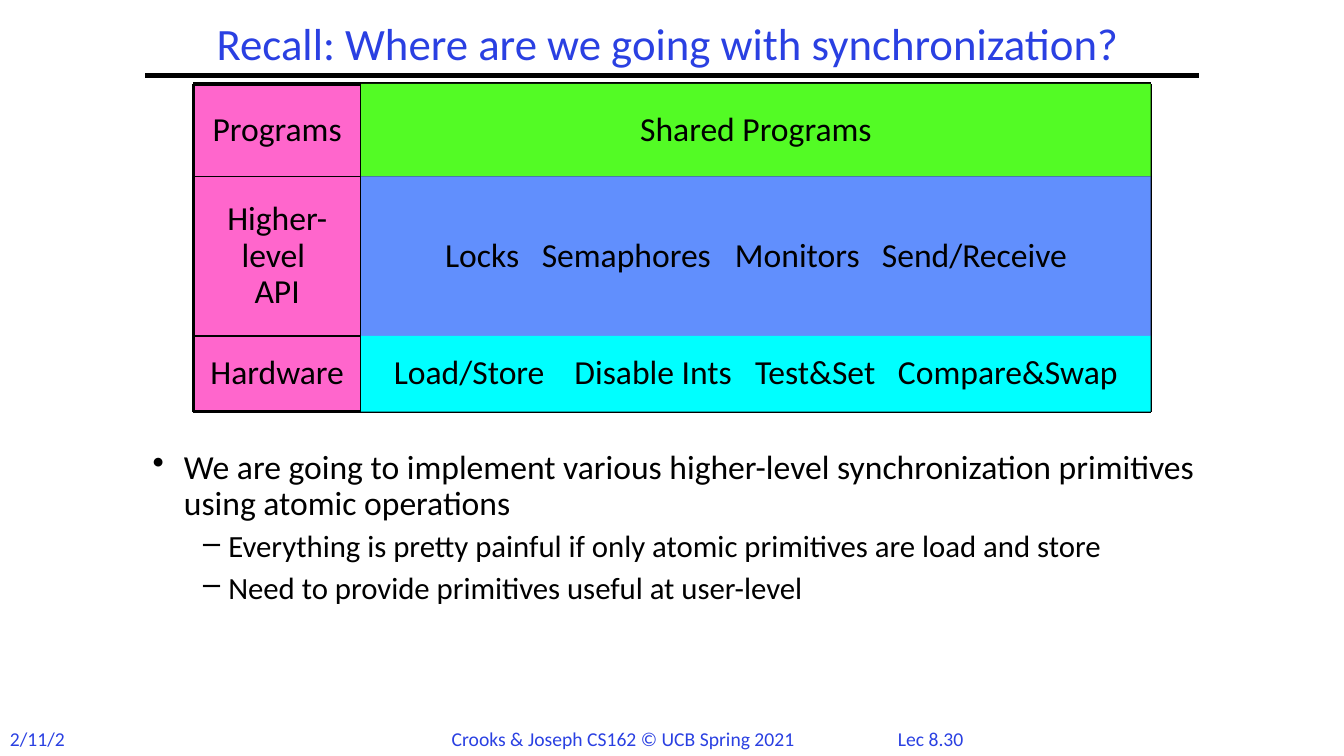
import pptx
import pptx.dml.color
import pptx.enum.shapes
import pptx.enum.text
import pptx.oxml
import pptx.oxml.ns
import pptx.util

COLORS = {"ink": "000000", "blue": "2A40E2", "label": "FF66CC",
          "programs": "53FB25", "api": "618FFD", "hardware": "00FFFF"}
ALIGN = pptx.enum.text.PP_ALIGN
ANCHOR = pptx.enum.text.MSO_ANCHOR

deck = pptx.Presentation()
deck.slide_width = pptx.util.Inches(13.333)
deck.slide_height = pptx.util.Inches(7.5)
UNIT = deck.slide_width / 160  # the slide is a grid of 160 columns and 90 rows
page = deck.slides.add_slide(deck.slide_layouts[6])


def add_box(left, top, right, bottom, text, size, color="ink", fill=None,
            align=ALIGN.CENTER, anchor=ANCHOR.MIDDLE):
    """Add text in a grid area, as a filled rectangle if a fill is named."""
    area = [round(n * UNIT) for n in (left, top, right - left, bottom - top)]
    if fill:
        box = page.shapes.add_shape(pptx.enum.shapes.MSO_SHAPE.RECTANGLE, *area)
        box.shadow.inherit = False
        box.fill.solid()
        box.fill.fore_color.rgb = pptx.dml.color.RGBColor.from_string(COLORS[fill])
        box.line.fill.background()
    else:
        box = page.shapes.add_textbox(*area)
    frame = box.text_frame
    frame.word_wrap = True
    frame.vertical_anchor = anchor
    frame.text = text
    for para in frame.paragraphs:
        para.alignment = align
        para.line_spacing = 0.9
        for span in para.runs:
            span.font.name = "Calibri"
            span.font.size = pptx.util.Pt(size)
            span.font.color.rgb = pptx.dml.color.RGBColor.from_string(COLORS[color])
    return box


def add_rule(left, top, right, bottom, width):
    ends = [round(n * UNIT) for n in (left, top, right, bottom)]
    rule = page.shapes.add_connector(pptx.enum.shapes.MSO_CONNECTOR.STRAIGHT, *ends)
    rule.line.width = pptx.util.Pt(width)
    rule.line.color.rgb = pptx.dml.color.RGBColor.from_string(COLORS["ink"])
    rule._element.spPr.append(pptx.oxml.parse_xml(
        f'<a:effectLst {pptx.oxml.ns.nsdecls("a")}/>'))


# Title and footer
add_rule(17.3, 9, 142.7, 9, 3)
add_box(13, 2, 146, 9, "Recall: Where are we going with synchronization?", 32, "blue")
for left, right, text, align in [
        (105, 116.6, "Lec 8.30", ALIGN.CENTER),
        (0, 9.6, "2/11/21", ALIGN.LEFT),
        (52.6, 97.7, "Crooks & Joseph CS162 © UCB Spring 2021", ALIGN.LEFT)]:
    footer = add_box(left, 85.9, right, 90, text, 14, "blue", align=align, anchor=ANCHOR.TOP)
    footer.text_frame.paragraphs[0].line_spacing = 1

# Layer diagram: labels, then rules, then the panels on top
COLUMNS = [23, 43, 137]
ROWS = [10, 21, 40, 49]
labels = ["Programs", "Higher-level \vAPI", "Hardware"]
# Each panel holds words and the grid columns where they start
panels = [
    ("programs", ["Shared Programs"], None),
    ("api", ["Locks", "Semaphores", "Monitors", "Send/Receive"], [53, 64.5, 87.5, 105]),
    ("hardware", ["Load/Store", "Disable Ints", "Test&Set", "Compare&Swap"],
     [46.9, 68.4, 89.9, 106.9]),
]
for label, top, bottom in zip(labels, ROWS, ROWS[1:]):
    add_box(COLUMNS[0], top, COLUMNS[1], bottom, label, 24, fill="label")
for row, width in zip(ROWS, [2.25, 1, 1, 2.25]):
    add_rule(COLUMNS[0], row, COLUMNS[-1], row, width)
for column, width in zip(COLUMNS, [2.25, 1, 2.25]):
    add_rule(column, ROWS[0], column, ROWS[-1], width)
for (fill, words, starts), top, bottom in zip(panels, ROWS, ROWS[1:]):
    panel = add_box(COLUMNS[1], top, COLUMNS[2], bottom, "\t".join(words), 24, fill=fill)
    if starts:
        panel.text_frame.margin_left = round((starts[0] - COLUMNS[1]) * UNIT)
        panel.text_frame.margin_right = 0
        para = panel.text_frame.paragraphs[0]
        para.alignment = ALIGN.LEFT
        stops = "".join(f'<a:tab pos="{round((start - starts[0]) * UNIT)}" algn="l"/>'
                        for start in starts[1:])
        para._p.get_or_add_pPr().append(pptx.oxml.parse_xml(
            f'<a:tabLst {pptx.oxml.ns.nsdecls("a")}>{stops}</a:tabLst>'))

# Bullets
points = [
    (0, "We are going to implement various higher-level synchronization primitives "
        "using atomic operations"),
    (1, "Everything is pretty painful if only atomic primitives are load and store"),
    (1, "Need to provide primitives useful at user-level"),
]
LEVELS = [("•", 0.31, 0.31, 24), ("–", 0.75, 0.25, 22)]
body = add_box(17, 53, 144, 81, "\n".join(text for _, text in points), 24,
               align=ALIGN.LEFT, anchor=ANCHOR.TOP)
for index, (para, (level, _)) in enumerate(zip(body.text_frame.paragraphs, points)):
    bullet, margin, hang, size = LEVELS[level]
    para.level = level
    para.space_before = pptx.util.Pt(6 if index else 0)
    para.runs[0].font.size = pptx.util.Pt(size)
    properties = para._p.get_or_add_pPr()
    properties.set("marL", str(pptx.util.Inches(margin)))
    properties.set("indent", str(-pptx.util.Inches(hang)))
    properties.append(pptx.oxml.parse_xml(
        f'<a:buChar {pptx.oxml.ns.nsdecls("a")} char="{bullet}"/>'))

deck.save("out.pptx")
